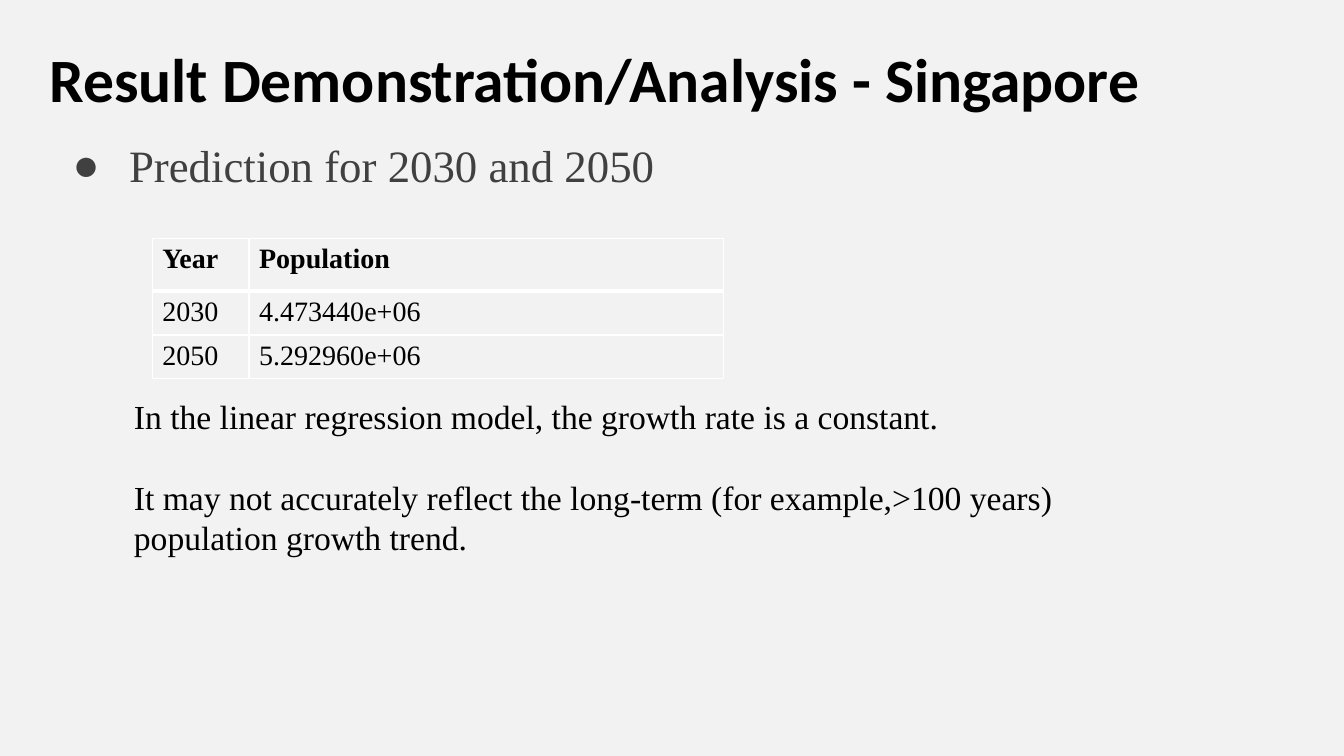
from dataclasses import dataclass

from lxml.etree import SubElement
from pptx import Presentation
from pptx.dml.color import RGBColor
from pptx.enum.text import MSO_ANCHOR, MSO_AUTO_SIZE, PP_ALIGN
from pptx.oxml.ns import qn
from pptx.slide import Slide
from pptx.table import _Cell
from pptx.text.text import TextFrame
from pptx.util import Inches, Pt

SERIF = "Times New Roman"
BLACK = "000000"
WHITE = "FFFFFF"
COLUMN_WIDTHS = (0.96, 4.71)
ROW_HEIGHTS = (0.52, 0.43, 0.43)
PREDICTIONS = (
    ("Year", "Population"),
    ("2030", "4.473440e+06"),
    ("2050", "5.292960e+06"),
)


@dataclass(frozen=True)
class TextStyle:
    size: float
    font: str = SERIF
    color: str = BLACK
    bold: bool = False


@dataclass(frozen=True)
class TextBlock:
    box: tuple[float, float, float, float]
    paragraphs: tuple[str, ...]
    style: TextStyle
    gap: float = 0


TITLE = TextBlock(
    (0.39, 0.36, 11.51, 0.84),
    ("Result Demonstration/Analysis - Singapore",),
    TextStyle(44, "Calibri", bold=True),
)
HEADING = TextBlock(
    (0.62, 1.32, 11.75, 0.64),
    ("Prediction for 2030 and 2050",),
    TextStyle(32, color="404040"),
)
REMARKS = TextBlock(
    (1.23, 3.88, 9.55, 1.72),
    (
        "In the linear regression model, the growth rate is a constant.",
        "It may not accurately reflect the long-term (for example,>100 years) population growth trend.",
    ),
    TextStyle(24),
    gap=28.8,
)


def rgb(color: str) -> RGBColor:
    return RGBColor.from_string(color)


def apply_format(target: object, values: dict[str, object]) -> None:
    for name, value in values.items():
        setattr(target, name, value)


def write_text(frame: TextFrame, paragraphs: tuple[str, ...], style: TextStyle, gap: float = 0) -> None:
    for index, text in enumerate(paragraphs):
        paragraph = frame.paragraphs[0] if index == 0 else frame.add_paragraph()
        apply_format(paragraph, {
            "alignment": PP_ALIGN.LEFT,
            "line_spacing": 1.0,
            "space_before": Pt(gap if index else 0),
        })
        run = paragraph.add_run()
        run.text = text
        apply_format(run.font, {"size": Pt(style.size), "name": style.font, "bold": style.bold})
        run.font.color.rgb = rgb(style.color)


def fill_block(shape, block: TextBlock) -> None:
    lengths = map(Inches, block.box)
    apply_format(shape, dict(zip(("left", "top", "width", "height"), lengths)))
    apply_format(shape.text_frame, {
        "word_wrap": True,
        "auto_size": MSO_AUTO_SIZE.SHAPE_TO_FIT_TEXT,
        "vertical_anchor": MSO_ANCHOR.TOP,
    })
    write_text(shape.text_frame, block.paragraphs, block.style, block.gap)


def add_bullet(frame: TextFrame, symbol: str, indent: float) -> None:
    properties = frame.paragraphs[0]._p.get_or_add_pPr()
    properties.set("marL", str(Inches(indent)))
    properties.set("indent", str(-Inches(indent)))
    SubElement(properties, qn("a:buFont"), typeface=SERIF)
    SubElement(properties, qn("a:buChar"), char=symbol)


def set_borders(cell: _Cell, widths: dict[str, float]) -> None:
    properties = cell._tc.get_or_add_tcPr()
    for edge, width in widths.items():
        line = SubElement(properties, qn(f"a:ln{edge}"), w=str(Pt(width)))
        fill = SubElement(line, qn("a:solidFill"))
        SubElement(fill, qn("a:srgbClr"), val=WHITE)


def add_predictions(slide: Slide) -> None:
    frame = slide.shapes.add_table(
        len(PREDICTIONS), len(COLUMN_WIDTHS), Inches(1.51), Inches(2.37),
        Inches(sum(COLUMN_WIDTHS)), Inches(sum(ROW_HEIGHTS)),
    )
    table = frame.table
    for column, width in zip(table.columns, COLUMN_WIDTHS):
        column.width = Inches(width)
    for row_index, (row, height) in enumerate(zip(table.rows, ROW_HEIGHTS)):
        row.height = Inches(height)
        header = row_index == 0
        for cell, text in zip(row.cells, PREDICTIONS[row_index]):
            write_text(cell.text_frame, (text,), TextStyle(20, bold=header))
            set_borders(cell, {"L": 1, "R": 1, "T": 3 if row_index == 1 else 1, "B": 3 if header else 1})
            cell.fill.background()


def main() -> None:
    presentation = Presentation()
    apply_format(presentation, {"slide_width": Inches(13.33), "slide_height": Inches(7.5)})
    slide = presentation.slides.add_slide(presentation.slide_layouts[1])
    slide.background.fill.solid()
    slide.background.fill.fore_color.rgb = rgb("F2F2F2")

    title, body = slide.placeholders
    fill_block(title, TITLE)
    fill_block(body, HEADING)
    add_bullet(body.text_frame, "●", 0.56)
    add_predictions(slide)
    fill_block(slide.shapes.add_textbox(0, 0, 0, 0), REMARKS)
    presentation.save("out.pptx")


if __name__ == "__main__":
    main()
